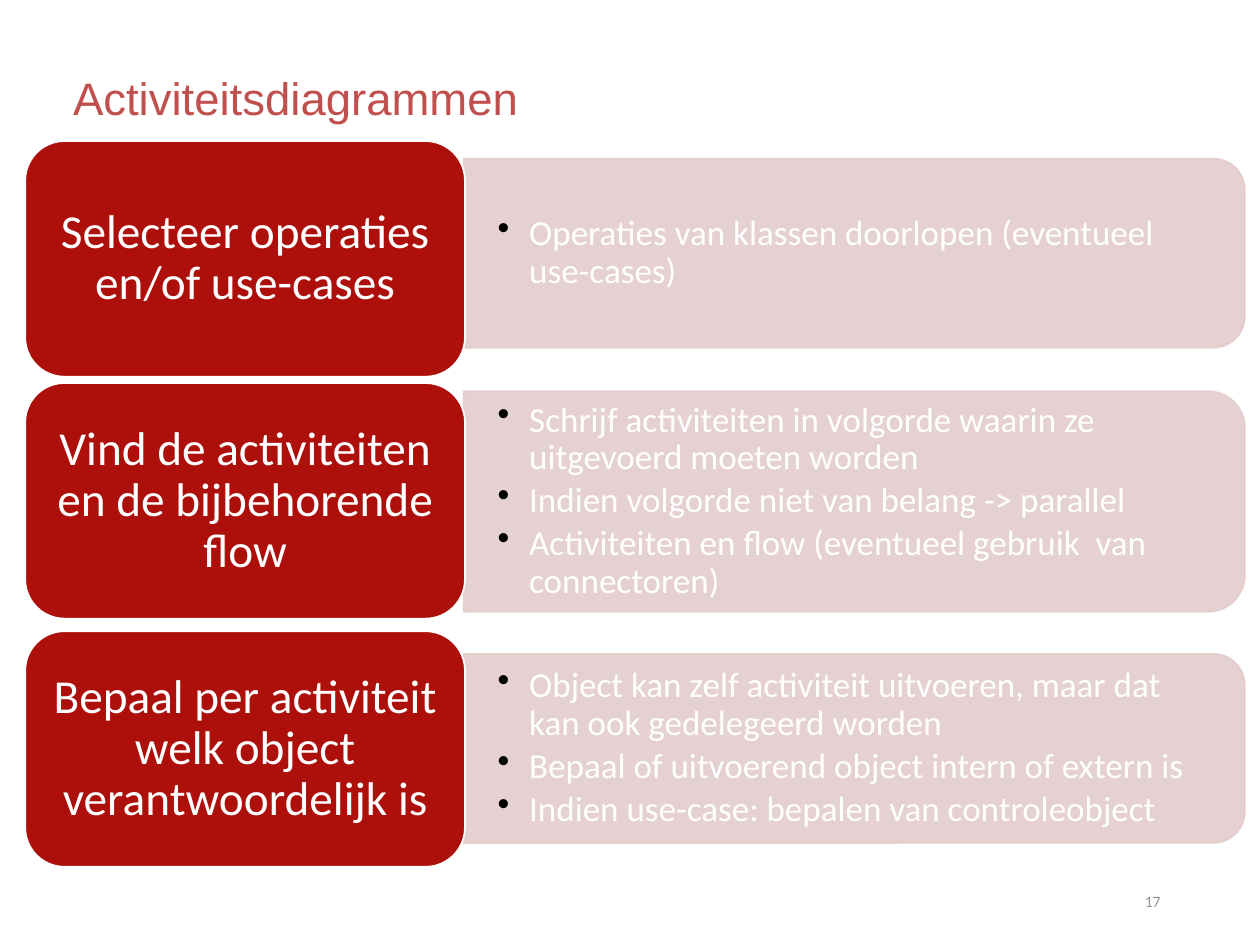
from lxml import etree
from pptx import Presentation
from pptx.dml.color import RGBColor
from pptx.enum.shapes import MSO_SHAPE
from pptx.enum.text import MSO_ANCHOR, PP_ALIGN
from pptx.oxml.ns import qn
from pptx.util import Inches, Pt

ROUND = MSO_SHAPE.ROUNDED_RECTANGLE
TAB = MSO_SHAPE.ROUND_2_SAME_RECTANGLE
MIDDLE = MSO_ANCHOR.MIDDLE
LEFT, CENTER, RIGHT = PP_ALIGN.LEFT, PP_ALIGN.CENTER, PP_ALIGN.RIGHT
RED, PINK, WHITE = "AD0F0A", "E3CCCC", "FFFFFF"
EDGE, SPLIT = 0.2, 3.68
LABEL_W, LABEL_H, PANEL_W = 3.49, 1.87, 6.2

ROWS = [
    (1.12, 2.01, 1.5, "Selecteer operaties en/of use-cases",
     ["Operaties van klassen doorlopen (eventueel use-cases)"]),
    (3.04, 3.98, 1.75, "Vind de activiteiten en de bijbehorende flow",
     ["Schrijf activiteiten in volgorde waarin ze uitgevoerd moeten worden",
      "Indien volgorde niet van belang -> parallel",
      "Activiteiten en flow (eventueel gebruik  van connectoren)"]),
    (5.01, 5.94, 1.5, "Bepaal per activiteit welk object verantwoordelijk is",
     ["Object kan zelf activiteit uitvoeren, maar dat kan ook gedelegeerd worden",
      "Bepaal of uitvoerend object intern of extern is",
      "Indien use-case: bepalen van controleobject"]),
]


def color(hex):
    """Turn a hex string into a colour."""
    return RGBColor.from_string(hex)


def add_bullet(para):
    """Give a paragraph a hanging black bullet."""
    props = para._p.get_or_add_pPr()
    props.set("marL", str(Inches(0.25)))
    props.set("indent", str(-Inches(0.25)))
    tint = etree.SubElement(props, qn("a:buClr"))
    etree.SubElement(tint, qn("a:srgbClr"), val="000000")
    etree.SubElement(props, qn("a:buChar"), char="•")


def add_text(slide, box, lines, size, hex, font="Calibri", align=LEFT,
             pad=(0, 0), lead=1.0, bullets=False):
    """Write lines in a vertically centred text box."""
    frame = slide.shapes.add_textbox(*map(Inches, box)).text_frame
    frame.word_wrap = True
    frame.vertical_anchor = MIDDLE
    frame.margin_left = frame.margin_right = Inches(pad[0])
    frame.margin_top = frame.margin_bottom = Inches(pad[1])
    for i, line in enumerate(lines):
        para = frame.paragraphs[0] if i == 0 else frame.add_paragraph()
        para.alignment = align
        para.line_spacing = lead
        if bullets:
            para.space_after = Pt(3)
            add_bullet(para)
        run = para.add_run()
        run.text = line
        run.font.size = Pt(size)
        run.font.name = font
        run.font.color.rgb = color(hex)


def add_block(slide, kind, box, fill, line):
    """Draw a filled, outlined shape."""
    shape = slide.shapes.add_shape(kind, *map(Inches, box))
    shape.shadow.inherit = False
    shape.fill.solid()
    shape.fill.fore_color.rgb = color(fill)
    shape.line.color.rgb = color(line)
    shape.line.width = Pt(1)
    return shape


def add_panel(slide, left, mid, width, height, lines):
    """Place the pale panel, a turned tab, with its bullets."""
    box = (left + (width - height) / 2, mid - width / 2, height, width)
    tab = add_block(slide, TAB, box, PINK, PINK)
    tab.rotation = 90
    for tint in tab._element.spPr.iter(qn("a:srgbClr")):
        etree.SubElement(tint, qn("a:alpha"), val="90000")
    inner = height - 0.16
    add_text(slide, (left, mid - inner / 2, width - 0.08, inner), lines, 20,
             WHITE, pad=(0.27, 0.14), lead=0.9, bullets=True)


def add_label(slide, left, top, width, height, text):
    """Place the red label with its centred text."""
    add_block(slide, ROUND, (left, top, width, height), RED, WHITE)
    gap = 0.09
    add_text(slide, (left + gap, top + gap, width - 2 * gap, height - 2 * gap),
             [text], 27, WHITE, align=CENTER, pad=(0.11, 0.06), lead=0.9)


def main():
    """Build and save the slide."""
    deck = Presentation()
    deck.slide_width, deck.slide_height = Inches(10), Inches(7.5)
    slide = deck.slides.add_slide(deck.slide_layouts[6])
    add_text(slide, (0.5, 0.15, 9, 1.25), [" Activiteitsdiagrammen"], 26,
             "C0504D", font="Arial")
    for top, mid, height, label, lines in ROWS:
        add_panel(slide, SPLIT, mid, PANEL_W, height, lines)
        add_label(slide, EDGE, top, LABEL_W, LABEL_H, label)
    add_text(slide, (8.42, 6.95, 0.89, 0.4), ["17"], 9, "939393",
             align=RIGHT, pad=(0.1, 0.05))
    deck.save("out.pptx")


if __name__ == "__main__":
    main()
